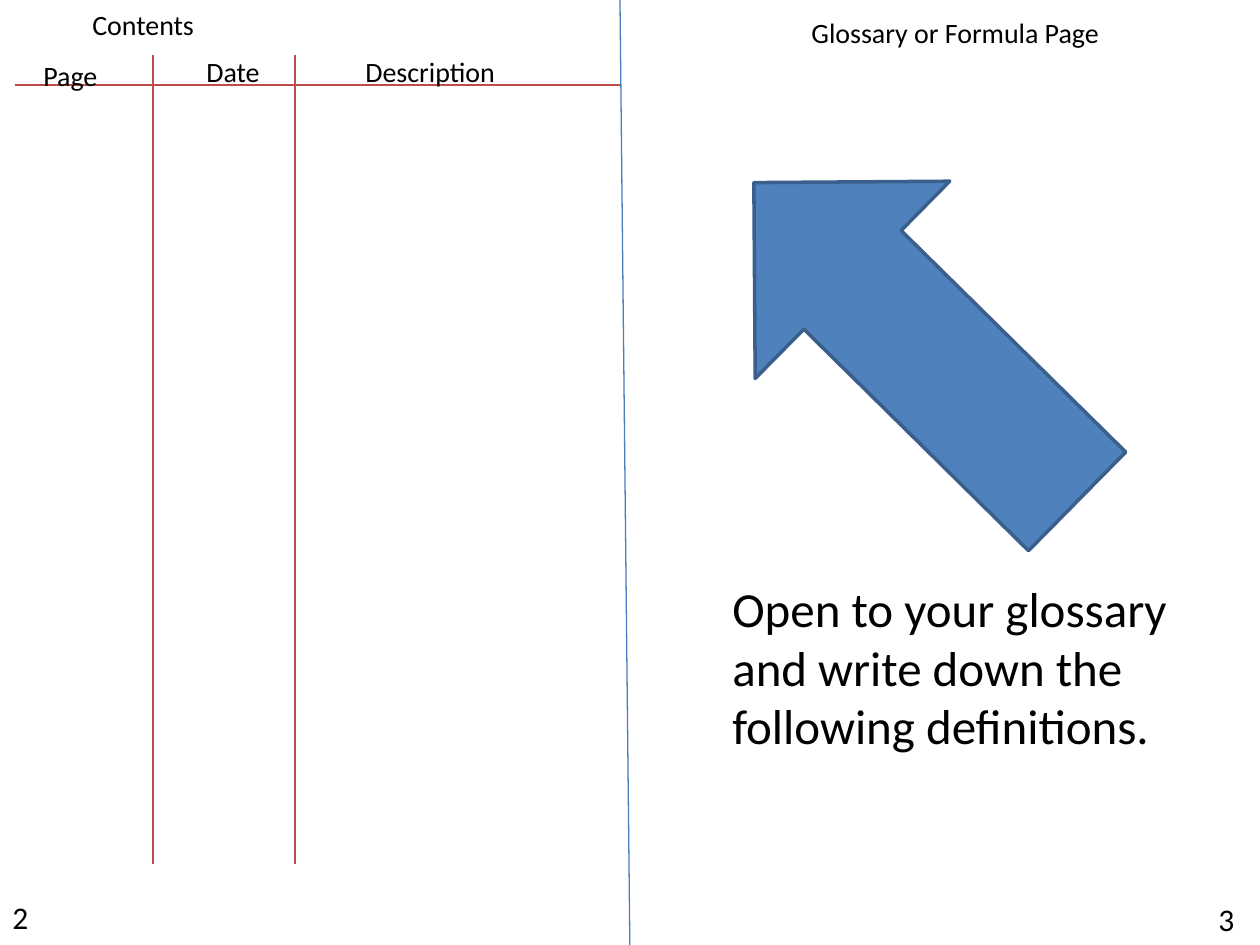
from dataclasses import dataclass

from lxml.etree import SubElement
from pptx import Presentation
from pptx.dml.color import RGBColor
from pptx.enum.shapes import MSO_CONNECTOR, MSO_SHAPE
from pptx.enum.text import MSO_AUTO_SIZE
from pptx.oxml.ns import qn
from pptx.util import Emu, Pt

PX_PER_INCH = 126


def px(length):
    return Emu(round(length * 914400 / PX_PER_INCH))


@dataclass(frozen=True)
class Theme:
    font: str = "Calibri"
    text: RGBColor = RGBColor(0x00, 0x00, 0x00)
    fold: RGBColor = RGBColor(0x4B, 0x7E, 0xBC)
    rule: RGBColor = RGBColor(0xBF, 0x4C, 0x48)
    arrow_fill: RGBColor = RGBColor(0x4F, 0x81, 0xBD)
    arrow_edge: RGBColor = RGBColor(0x3A, 0x5F, 0x8C)
    label_size: float = 16
    number_size: float = 18
    instruction_size: float = 28
    rule_width: float = 0.75
    edge_width: float = 2


class NotebookSpread:
    def __init__(self, slide, theme):
        self.slide = slide
        self.theme = theme

    def line(self, x1, y1, x2, y2, color):
        connector = self.slide.shapes.add_connector(
            MSO_CONNECTOR.STRAIGHT, px(x1), px(y1), px(x2), px(y2))
        connector.line.color.rgb = color
        connector.line.width = Pt(self.theme.rule_width)
        SubElement(connector._element.spPr, qn("a:effectLst"))

    def text(self, content, left, top, width, height, size, wrap=True):
        box = self.slide.shapes.add_textbox(px(left), px(top), px(width), px(height))
        frame = box.text_frame
        frame.text = content
        frame.word_wrap = wrap
        frame.auto_size = MSO_AUTO_SIZE.SHAPE_TO_FIT_TEXT
        font = frame.paragraphs[0].runs[0].font
        font.name = self.theme.font
        font.size = Pt(size)
        font.color.rgb = self.theme.text

    def up_arrow(self, left, top, width, height, rotation):
        arrow = self.slide.shapes.add_shape(
            MSO_SHAPE.UP_ARROW, px(left), px(top), px(width), px(height))
        arrow.rotation = rotation
        arrow.shadow.inherit = False
        arrow.fill.solid()
        arrow.fill.fore_color.rgb = self.theme.arrow_fill
        arrow.line.color.rgb = self.theme.arrow_edge
        arrow.line.width = Pt(self.theme.edge_width)


def main():
    presentation = Presentation()
    presentation.slide_width = px(1260)
    presentation.slide_height = px(945)
    slide = presentation.slides.add_slide(presentation.slide_layouts[6])
    theme = Theme()
    spread = NotebookSpread(slide, theme)

    spread.line(620, 0, 630, 959, theme.fold)

    # Contents page
    spread.line(15, 85, 620, 85, theme.rule)
    for column_edge in (153, 295):
        spread.line(column_edge, 55, column_edge, 864, theme.rule)
    labels = [
        ("Contents", 80, 1, 128, False),
        ("Page", 31, 52, 80, False),
        ("Date", 194, 48, 80, False),
        ("Description", 353, 48, 193, True),
        ("Glossary or Formula Page", 799, 9, 357, True),
    ]
    for content, left, top, width, wrap in labels:
        spread.text(content, left, top, width, 47, theme.label_size, wrap)

    # Glossary page
    spread.text("Open to your glossary and write down the following definitions.",
                720, 572, 515, 190, theme.instruction_size)
    spread.up_arrow(777, 115, 277, 454, 314.6)

    # Page numbers
    spread.text("2", 0, 892, 41, 51, theme.number_size, wrap=False)
    spread.text("3", 1206, 894, 75, 51, theme.number_size)

    presentation.save("out.pptx")


if __name__ == "__main__":
    main()
